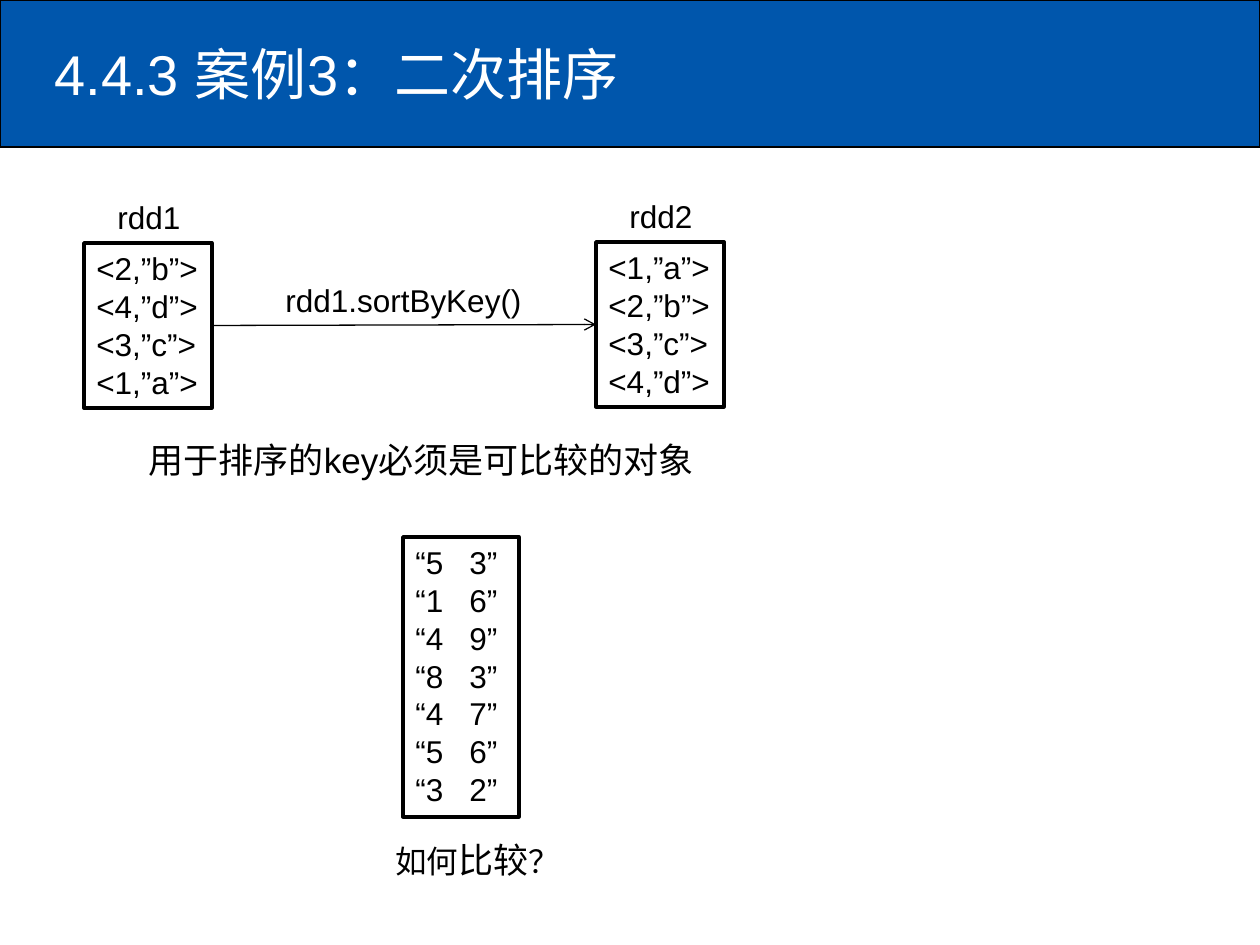
from dataclasses import dataclass

from lxml.etree import SubElement
from pptx import Presentation
from pptx.dml.color import RGBColor
from pptx.enum.shapes import MSO_CONNECTOR as Connector, MSO_SHAPE as Preset
from pptx.enum.text import MSO_ANCHOR as Anchor, MSO_AUTO_SIZE as AutoSize, PP_ALIGN as Align
from pptx.oxml.ns import qn
from pptx.util import Emu, Pt

EMU_PER_PX = 914400 / 126
TOP, LEFT, RIGHT = 0, 1, 3


@dataclass(frozen=True)
class Theme:
    font: str = "Arial"
    blue: RGBColor = RGBColor(0x00, 0x56, 0xAC)
    white: RGBColor = RGBColor(0xFF, 0xFF, 0xFF)
    black: RGBColor = RGBColor(0, 0, 0)
    title: int = 32
    note: int = 20
    body: int = 18
    thin: float = 0.75
    thick: float = 2


@dataclass(frozen=True)
class Area:
    left: int
    top: int
    width: int
    height: int

    def emu(self) -> tuple:
        return tuple(map(px, (self.left, self.top, self.width, self.height)))


@dataclass(frozen=True)
class Span:
    text: str
    size: int


@dataclass(frozen=True)
class Rdd:
    name: str
    area: Area
    pairs: tuple[str, ...]


@dataclass(frozen=True)
class Label:
    area: Area
    spans: tuple[Span, ...]
    wrap: bool = False


THEME = Theme()
RDDS = (
    Rdd("rdd1", Area(84, 243, 128, 165), ("<2,”b”>", "<4,”d”>", "<3,”c”>", "<1,”a”>")),
    Rdd("rdd2", Area(596, 242, 128, 165), ("<1,”a”>", "<2,”b”>", "<3,”c”>", "<4,”d”>")),
)
NUMBERS = ((5, 3), (1, 6), (4, 9), (8, 3), (4, 7), (5, 6), (3, 2))
NUMBER_AREA = Area(403, 537, 116, 280)
NUMBER_TAB = 54
LABELS = (
    Label(Area(273, 275, 265, 50), (Span("rdd1.sortByKey()", THEME.body),)),
    Label(Area(136, 432, 576, 55), (Span("用于排序的key必须是可比较的对象", THEME.note),), wrap=True),
    Label(Area(383, 832, 192, 55),
          (Span("如何", THEME.body), Span("比较", THEME.note), Span("？", THEME.body))),
)


def px(length: int) -> Emu:
    return Emu(round(length * EMU_PER_PX))


def apply(target, values: dict) -> None:
    for name, value in values.items():
        setattr(target, name, value)


def write(frame, lines, color: RGBColor, wrap: bool = False, anchor=Anchor.TOP) -> None:
    """Fill a text frame; each line is a sequence of spans."""
    apply(frame, {"auto_size": AutoSize.NONE, "word_wrap": wrap, "vertical_anchor": anchor})
    for index, spans in enumerate(lines):
        para = frame.paragraphs[0] if index == 0 else frame.add_paragraph()
        para.alignment = Align.LEFT
        for span in spans:
            run = para.add_run()
            run.text = span.text
            apply(run.font, {"name": THEME.font, "size": Pt(span.size)})
            run.font.color.rgb = color


def add_box(page, area: Area, fill: RGBColor, line_width: float):
    box = page.shapes.add_shape(Preset.RECTANGLE, *area.emu())
    box.shadow.inherit = False
    box.fill.solid()
    box.fill.fore_color.rgb = fill
    box.line.color.rgb = THEME.black
    box.line.width = Pt(line_width)
    return box


def add_list(page, area: Area, lines):
    box = add_box(page, area, THEME.white, THEME.thick)
    write(box.text_frame, [(Span(line, THEME.body),) for line in lines], THEME.black)
    return box


def add_label(page, label: Label) -> None:
    box = page.shapes.add_textbox(*label.area.emu())
    write(box.text_frame, [label.spans], THEME.black, label.wrap)


def add_rdd(page, rdd: Rdd):
    box = add_list(page, rdd.area, rdd.pairs)
    name_area = Area(rdd.area.left + 21, rdd.area.top - 51, 90, 50)
    add_label(page, Label(name_area, (Span(rdd.name, THEME.body),)))
    return box


def add_arrow(page, source, target) -> None:
    arrow = page.shapes.add_connector(Connector.STRAIGHT, 0, 0, 0, 0)
    arrow.begin_connect(source, RIGHT)
    arrow.end_connect(target, LEFT)
    arrow.line.color.rgb = THEME.black
    arrow.line.width = Pt(THEME.thin)
    SubElement(arrow.line._get_or_add_ln(), qn("a:tailEnd"), type="arrow")
    SubElement(arrow._element.spPr, qn("a:effectLst"))


def add_numbers(page) -> None:
    """List the number pairs, with the second column at a tab stop."""
    box = add_list(page, NUMBER_AREA, [f"“{first}\t{second}”" for first, second in NUMBERS])
    for para in box.text_frame.paragraphs:
        tabs = SubElement(para._p.get_or_add_pPr(), qn("a:tabLst"))
        SubElement(tabs, qn("a:tab"), pos=str(px(NUMBER_TAB)), algn="l")


def add_title(page) -> None:
    banner = add_box(page, Area(0, 0, 1260, 147), THEME.blue, THEME.thin)
    title = page.shapes.title
    title._element.addprevious(banner._element)
    left, top, width, height = Area(42, 10, 1102, 126).emu()
    apply(title, {"left": left, "top": top, "width": width, "height": height})
    write(title.text_frame, [(Span("4.4.3 案例3：二次排序", THEME.title),)],
          THEME.white, wrap=True, anchor=Anchor.MIDDLE)


def main() -> None:
    deck = Presentation()
    apply(deck, {"slide_width": px(1260), "slide_height": px(945)})
    page = deck.slides.add_slide(deck.slide_layouts[5])
    add_title(page)
    source, target = [add_rdd(page, rdd) for rdd in RDDS]
    add_arrow(page, source, target)
    add_numbers(page)
    for label in LABELS:
        add_label(page, label)
    deck.save("out.pptx")


if __name__ == "__main__":
    main()
